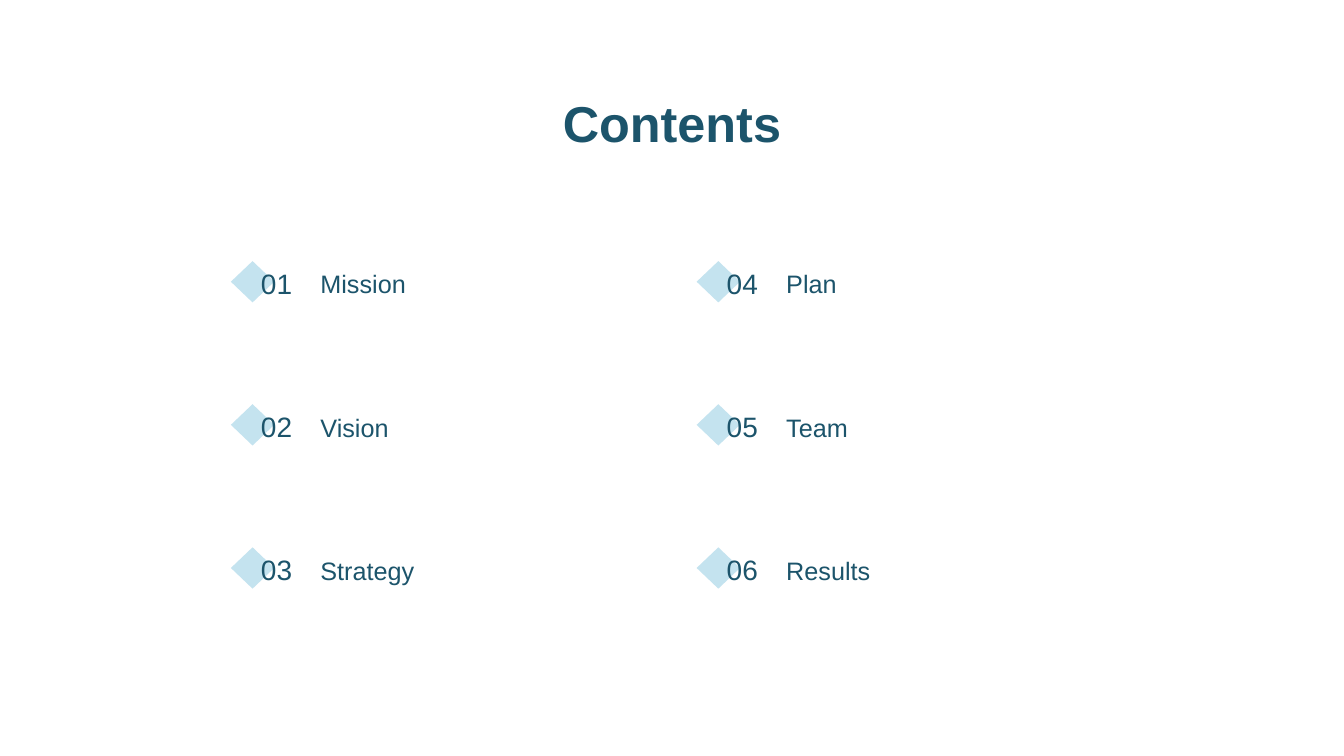
import pptx
import pptx.util
import pptx.dml.color
import pptx.enum.shapes
import pptx.enum.text

Inches = pptx.util.Inches
ALIGN = pptx.enum.text.PP_ALIGN
ANCHOR = pptx.enum.text.MSO_ANCHOR

COLORS = {"background": "FFFFFF", "text": "1C546B", "diamond": "C4E3EF"}
TITLE_FONT = {"name": "Arial", "size": pptx.util.Pt(36), "bold": True}
NUMBER_FONT = {"name": "Arial", "size": pptx.util.Pt(20)}
LABEL_FONT = {"name": "Arial", "size": pptx.util.Pt(18)}

TOPICS = ["Mission", "Vision", "Strategy", "Plan", "Team", "Results"]
ROWS = 3


def color(name):
    return pptx.dml.color.RGBColor.from_string(COLORS[name])


def place(shape, left, top, width, height):
    box = {"left": left, "top": top, "width": width, "height": height}
    for name, value in box.items():
        setattr(shape, name, Inches(value))


def write(shape, text, font, wrap=True, align=ALIGN.LEFT):
    frame = shape.text_frame
    frame.word_wrap = wrap
    frame.auto_size = pptx.enum.text.MSO_AUTO_SIZE.NONE
    frame.vertical_anchor = ANCHOR.MIDDLE
    para = frame.paragraphs[0]
    para.alignment = align
    span = para.add_run()
    span.text = text
    for name, value in font.items():
        setattr(span.font, name, value)
    span.font.color.rgb = color("text")


def add_title(page, left, top, width, height):
    title = page.shapes.title
    place(title, left, top, width, height)
    write(title, "Contents", TITLE_FONT, wrap=False, align=ALIGN.CENTER)


def add_topic(page, number, topic, left, top, width, height):
    group = page.shapes.add_group_shape()

    # Diamond marker behind the number
    diamond = group.shapes.add_shape(
        pptx.enum.shapes.MSO_SHAPE.DIAMOND,
        Inches(left), Inches(top + 0.03), Inches(0.43), Inches(0.41))
    diamond.shadow.inherit = False
    diamond.fill.solid()
    diamond.fill.fore_color.rgb = color("diamond")
    diamond.line.fill.background()

    # Number and topic name
    parts = [
        (f"{number:02d}", NUMBER_FONT, 0.2, 0, 0.6, height),
        (topic, LABEL_FONT, 0.79, 0.01, width - 0.79, height - 0.01),
    ]
    for text, font, across, down, part_width, part_height in parts:
        label = group.shapes.add_textbox(
            Inches(left + across), Inches(top + down),
            Inches(part_width), Inches(part_height))
        write(label, text, font)


def add_topics(page, left, top, column_step, row_step):
    for index, topic in enumerate(TOPICS):
        column, row = divmod(index, ROWS)
        add_topic(page, index + 1, topic, left + column * column_step,
                  top + row * row_step, 4.36, 0.5)


def main():
    deck = pptx.Presentation()
    deck.slide_width = Inches(13.33)
    deck.slide_height = Inches(7.5)
    page = deck.slides.add_slide(deck.slide_layouts.get_by_name("Title Only"))
    page.background.fill.solid()
    page.background.fill.fore_color.rgb = color("background")

    add_title(page, 5.48, 0.86, 2.37, 0.71)
    add_topics(page, left=2.29, top=2.56, column_step=4.62, row_step=1.42)
    deck.save("out.pptx")


if __name__ == "__main__":
    main()
